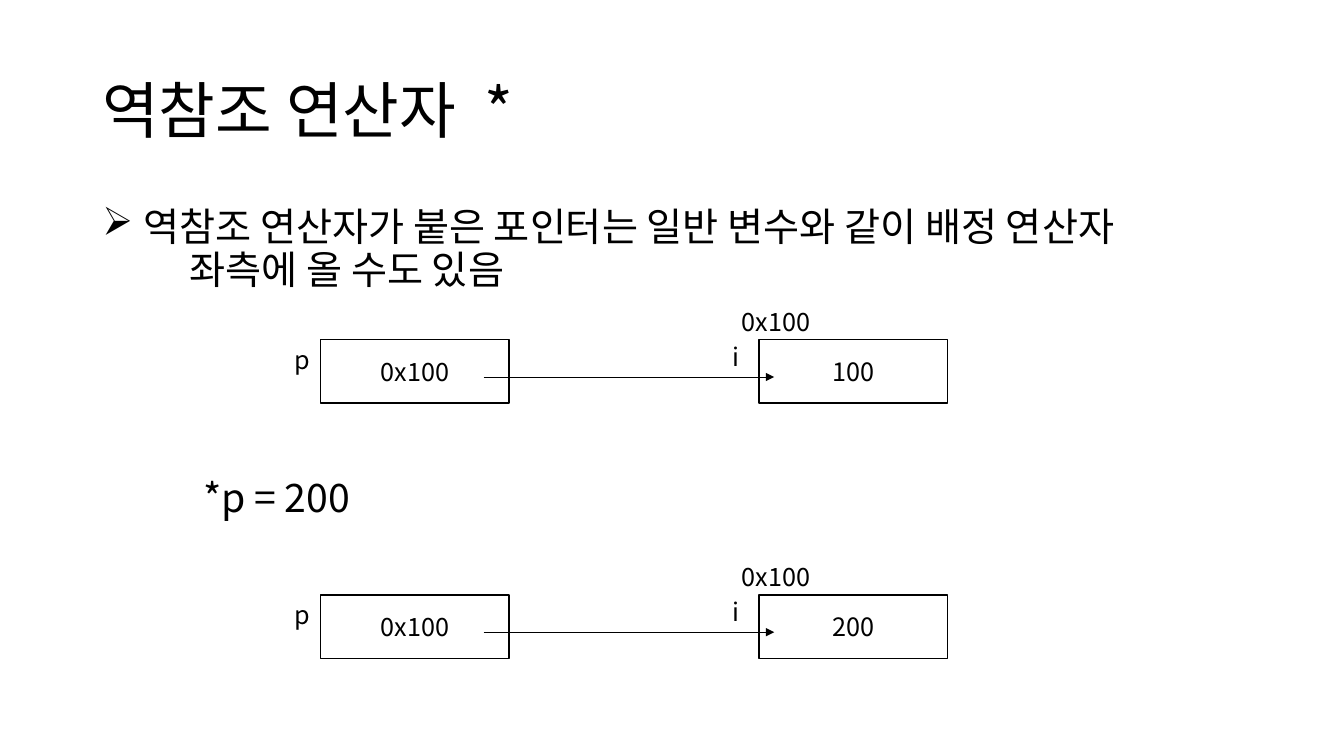
from lxml import etree
from pptx import Presentation
from pptx.dml.color import RGBColor
from pptx.enum.shapes import MSO_CONNECTOR, MSO_SHAPE
from pptx.enum.text import MSO_ANCHOR, PP_ALIGN
from pptx.oxml.ns import qn
from pptx.util import Cm, Pt

RECTANGLE, STRAIGHT = MSO_SHAPE.RECTANGLE, MSO_CONNECTOR.STRAIGHT
TOP, MIDDLE = MSO_ANCHOR.TOP, MSO_ANCHOR.MIDDLE
LEFT, CENTER = PP_ALIGN.LEFT, PP_ALIGN.CENTER
FONT, BLACK, WHITE = "Noto Sans CJK KR", "000000", "FFFFFF"

# Content
TITLE = ("역참조 연산자", " ", "*")
EXPLANATION = [  # text, left indent in cm, bullet
    ("역참조 연산자가 붙은 포인터는 일반 변수와 같이 배정 연산자", 1.04, "➢"),
    ("좌측에 올 수도 있음", 2.2, None),
]
STATEMENT = "*p = 200"
POINTER_DIAGRAMS = [  # top in cm, address, value
    (8.56, "0x100", "100"),
    (14.99, "0x100", "200"),
]

# Layout in cm
MARGIN, CONTENT_WIDTH = 2.33, 29.21
BOX_WIDTH, BOX_HEIGHT = 4.75, 1.6
POINTER_LEFT, VARIABLE_LEFT = 8.08, 19.13
LABEL_WIDTH, LABEL_HEIGHT = 0.91, 1.02
ARROW_START, ARROW_END, ARROW_DROP = 12.19, 19.51, 0.94
BODY_LINE = Pt(30.7)


def color(hex_value):
    return RGBColor.from_string(hex_value)


def style(paragraph, size, align=LEFT, line_spacing=None):
    paragraph.alignment = align
    paragraph.line_spacing = line_spacing
    font = paragraph.font
    font.name, font.size = FONT, Pt(size)
    font.color.rgb = color(BLACK)
    properties = paragraph._p.get_or_add_pPr().find(qn("a:defRPr"))
    etree.SubElement(properties, qn("a:ea")).set("typeface", FONT)


def set_indent(paragraph, indent, bullet):
    properties = paragraph._p.get_or_add_pPr()
    properties.set("marL", str(Cm(indent)))
    if bullet:
        properties.set("indent", str(-Cm(indent)))
        mark = etree.Element(qn("a:buChar"), char=bullet)
        properties.find(qn("a:defRPr")).addprevious(mark)


def add_text(left, top, width, height, text, size, anchor=TOP, line_spacing=None):
    shape = slide.shapes.add_textbox(Cm(left), Cm(top), Cm(width), Cm(height))
    frame = shape.text_frame
    frame.word_wrap, frame.vertical_anchor = True, anchor
    frame.text = text
    for paragraph in frame.paragraphs:
        style(paragraph, size, line_spacing=line_spacing)
    return frame


def add_box(left, top, text):
    shape = slide.shapes.add_shape(
        RECTANGLE, Cm(left), Cm(top), Cm(BOX_WIDTH), Cm(BOX_HEIGHT))
    shape.shadow.inherit = False
    shape.fill.solid()
    shape.fill.fore_color.rgb = color(WHITE)
    shape.line.color.rgb = color(BLACK)
    shape.line.width = Pt(1)
    frame = shape.text_frame
    frame.vertical_anchor = MIDDLE
    frame.text = text
    style(frame.paragraphs[0], 18, CENTER)


def add_arrow(start, end, y):
    arrow = slide.shapes.add_connector(STRAIGHT, Cm(start), Cm(y), Cm(end), Cm(y))
    arrow.line.color.rgb = color(BLACK)
    arrow.line.width = Pt(0.5)
    etree.SubElement(arrow.line._get_or_add_ln(), qn("a:tailEnd"), type="triangle")
    etree.SubElement(arrow._element.spPr, qn("a:effectLst"))


def add_pointer_diagram(top, address, value):
    add_box(POINTER_LEFT, top, address)
    add_box(VARIABLE_LEFT, top, value)
    for left, drop, width, text in [
        (POINTER_LEFT - LABEL_WIDTH, 0, LABEL_WIDTH, "p"),
        (VARIABLE_LEFT - LABEL_WIDTH, -0.08, LABEL_WIDTH, "i"),
        (18.44, -0.97, 3.81, address),
    ]:
        add_text(left, top + drop, width, LABEL_HEIGHT, text, 18)
    add_arrow(ARROW_START, ARROW_END, top + ARROW_DROP)


presentation = Presentation()
presentation.slide_width, presentation.slide_height = Cm(33.87), Cm(19.05)
slide = presentation.slides.add_slide(presentation.slide_layouts[6])

# Title, with a widened space before the operator
title = add_text(MARGIN, 1.01, CONTENT_WIDTH, 3.68, "", 44, MIDDLE, 0.9)
for part in TITLE:
    run = title.paragraphs[0].add_run()
    run.text = part
    if part == " ":
        run.font._element.set("spc", "1000")

# Explanation and statement
lines = "\n".join(text for text, _, _ in EXPLANATION)
explanation = add_text(MARGIN, 5.08, CONTENT_WIDTH, 2.6, lines, 28,
                       line_spacing=BODY_LINE)
for paragraph, (_, indent, bullet) in zip(explanation.paragraphs, EXPLANATION):
    set_indent(paragraph, indent, bullet)
add_text(MARGIN + 2.54, 11.91, 10, 1.4, STATEMENT, 28, line_spacing=BODY_LINE)

# Pointer before and after the assignment
for diagram in POINTER_DIAGRAMS:
    add_pointer_diagram(*diagram)

presentation.save("out.pptx")
